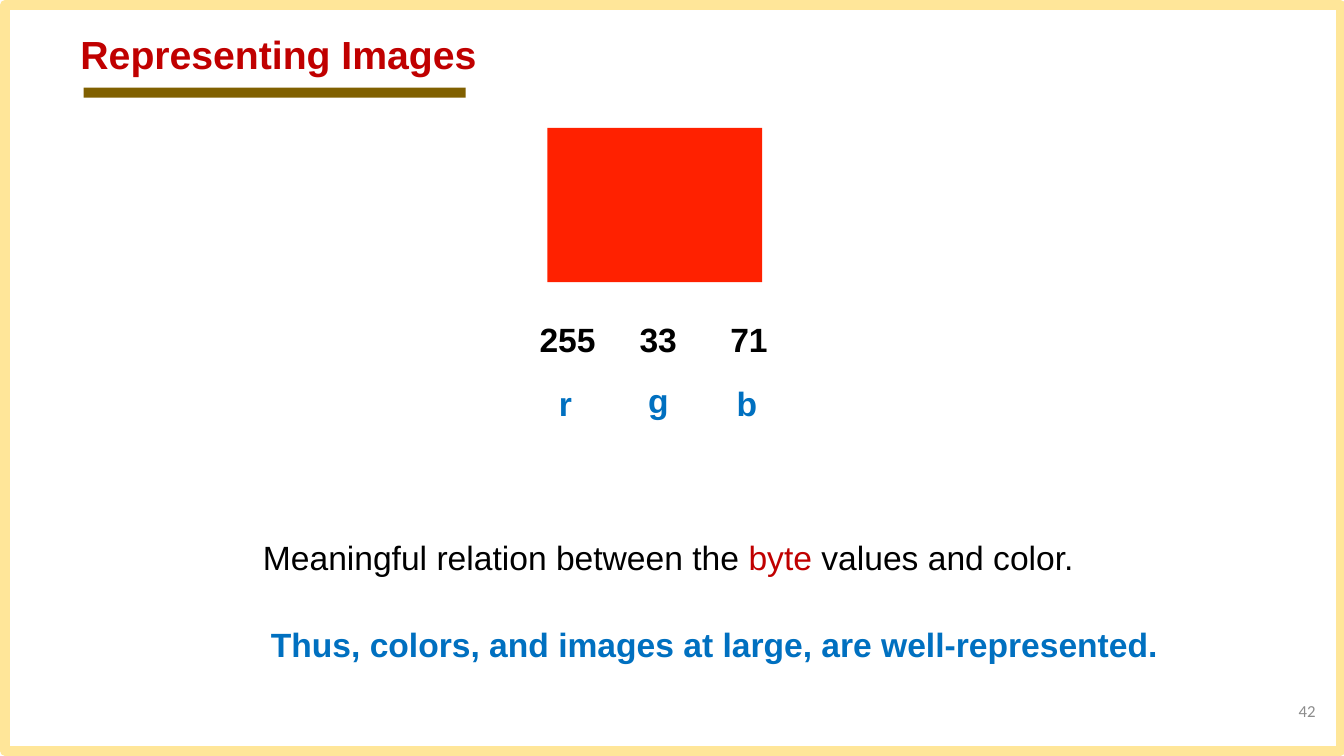
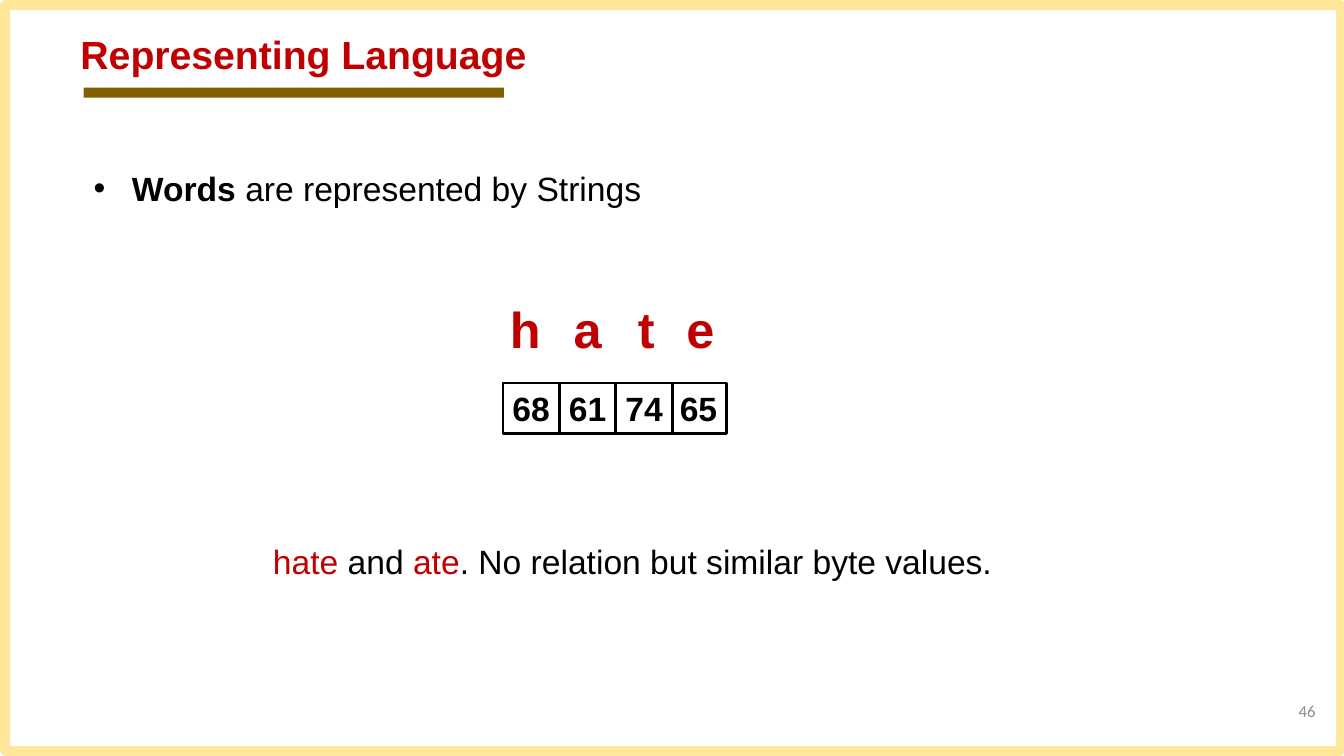
from typing import NamedTuple

from lxml import etree
from pptx import Presentation
from pptx.dml.color import RGBColor
from pptx.enum import shapes, text
from pptx.oxml import ns
from pptx.util import Pt

# Colours
WHITE = RGBColor(0xFF, 0xFF, 0xFF)
BLACK = RGBColor(0x00, 0x00, 0x00)
CREAM = RGBColor(0xFF, 0xE6, 0x99)
OLIVE = RGBColor(0x80, 0x60, 0x00)
RED = RGBColor(0xC0, 0x00, 0x00)
BLUE = RGBColor(0x00, 0x70, 0xC0)
GREY = RGBColor(0x8C, 0x8C, 0x8C)
SWATCH = RGBColor(0xFF, 0x21, 0x00)

# Text formats
BODY = {"name": "Arial", "size": Pt(24), "bold": False}
STRONG = {**BODY, "bold": True}
TITLE = {**STRONG, "size": Pt(28)}
LETTER = {**STRONG, "size": Pt(36)}
PAGE_NUMBER = {"name": "Calibri", "size": Pt(12), "bold": False}

LEFT, CENTER, RIGHT = text.PP_ALIGN.LEFT, text.PP_ALIGN.CENTER, text.PP_ALIGN.RIGHT
MIDDLE = text.MSO_ANCHOR.MIDDLE
BULLET_INDENT = 27.4


class Box(NamedTuple):
    left: float
    top: float
    width: float
    height: float

    def lengths(self) -> list:
        return [Pt(value) for value in self]


class Run(NamedTuple):
    words: str
    color: RGBColor = BLACK
    style: dict = BODY


class Label(NamedTuple):
    box: Box
    runs: list
    align: text.PP_ALIGN = CENTER
    spacing: float = 1.0
    bullet: bool = False


class ByteCell(NamedTuple):
    letter: str
    letter_left: float
    value: str
    left: float


def add_bullet(paragraph) -> None:
    properties = paragraph._p.get_or_add_pPr()
    properties.set("marL", str(Pt(BULLET_INDENT)))
    properties.set("indent", str(-Pt(BULLET_INDENT)))
    etree.SubElement(properties, ns.qn("a:buFont")).set("typeface", "Arial")
    etree.SubElement(properties, ns.qn("a:buChar")).set("char", "•")


def write_runs(paragraph, runs: list) -> None:
    for item in runs:
        run = paragraph.add_run()
        run.text = item.words
        for name, value in item.style.items():
            setattr(run.font, name, value)
        run.font.color.rgb = item.color


def add_label(slide, label: Label):
    shape = slide.shapes.add_textbox(*label.box.lengths())
    shape.text_frame.word_wrap = True
    paragraph = shape.text_frame.paragraphs[0]
    if label.bullet:
        add_bullet(paragraph)
    paragraph.alignment = label.align
    paragraph.line_spacing = label.spacing
    write_runs(paragraph, label.runs)
    return shape


def add_rectangle(slide, box: Box, fill: RGBColor, line: RGBColor | None = None,
                  line_width: float = 0):
    shape = slide.shapes.add_shape(shapes.MSO_SHAPE.RECTANGLE, *box.lengths())
    shape.shadow.inherit = False
    shape.fill.solid()
    shape.fill.fore_color.rgb = fill
    if line is None:
        shape.line.fill.background()
    else:
        shape.line.color.rgb = line
        shape.line.width = Pt(line_width)
    return shape


def add_cell(slide, cell: ByteCell) -> None:
    shape = add_rectangle(slide, Box(cell.left, 273.6, 40.3, 36), WHITE, BLACK, 2)
    frame = shape.text_frame
    for side in ("left", "right", "top", "bottom"):
        setattr(frame, f"margin_{side}", 0)
    frame.vertical_anchor = MIDDLE
    frame.paragraphs[0].alignment = CENTER
    write_runs(frame.paragraphs[0], [Run(cell.value, BLACK, STRONG)])
    add_label(slide, Label(Box(cell.letter_left, 209.5, 40.3, 51),
                           [Run(cell.letter, RED, LETTER)]))


def start_slide(presentation, title: str, rule_width: float, number: int):
    """Add a slide with the shared frame, title, rule and page number."""
    slide = presentation.slides.add_slide(presentation.slide_layouts[6])
    add_rectangle(slide, Box(3.6, 3.6, 954, 532.8), WHITE, CREAM, 7)
    add_label(slide, Label(Box(50.4, 21.6, 680.4, 48.2),
                           [Run(title, RED, TITLE)], LEFT, 0.9))
    add_rectangle(slide, Box(59.8, 62.6, rule_width, 7.2), OLIVE)
    page = add_label(slide, Label(Box(730.8, 493.2, 216, 28.8),
                                  [Run(str(number), GREY, PAGE_NUMBER)], RIGHT))
    page.text_frame.vertical_anchor = MIDDLE
    return slide


def build_images_slide(presentation) -> None:
    slide = start_slide(presentation, "Representing Images", 272.9, 42)
    add_rectangle(slide, Box(391, 91.4, 153.4, 110.2), SWATCH)

    # Channel values above their names
    width, height = 64.8, 36
    channels = [("255", "r", 371.5, 270), ("33", "g", 437.8, 267.8), ("71", "b", 501.1, 270)]
    for index, (value, name, left, top) in enumerate(channels):
        add_label(slide, Label(Box(373 + index * width, 224, width, height),
                               [Run(value, BLACK, STRONG)]))
        add_label(slide, Label(Box(left, top, width, height), [Run(name, BLUE, STRONG)]))

    # Conclusions
    relation = [Run("Meaningful relation between the "), Run("byte", RED),
                Run(" values and color.")]
    add_label(slide, Label(Box(180.7, 365.8, 644.4, 66.2), relation, LEFT, 1.5))
    outcome = "Thus, colors, and images at large, are well-represented."
    add_label(slide, Label(Box(186.5, 427.7, 707.8, 78.5),
                           [Run(outcome, BLUE, STRONG)], LEFT, 1.5))


def build_language_slide(presentation) -> None:
    slide = start_slide(presentation, "Representing Language", 300.2, 46)
    words = [Run("Words ", BLACK, STRONG), Run("are represented by Strings")]
    add_label(slide, Label(Box(59.8, 102.2, 602.6, 62.6), words, LEFT, 1.5, True))

    # Letters above their byte values, the leftmost cell in front
    cells = [
        ByteCell("h", 355, "68", 359.3),
        ByteCell("a", 399.6, "61", 399.6),
        ByteCell("t", 441.4, "74", 439.9),
        ByteCell("e", 480.2, "65", 478.8),
    ]
    for cell in reversed(cells):
        add_cell(slide, cell)

    # Conclusion
    conclusion = [Run("hate", RED), Run(" and "), Run("ate", RED),
                  Run(". No relation but similar byte values.")]
    add_label(slide, Label(Box(150.5, 368.6, 602.6, 62.6), conclusion, CENTER, 1.5))


def main() -> None:
    presentation = Presentation()
    presentation.slide_width, presentation.slide_height = Pt(960), Pt(540)
    build_images_slide(presentation)
    build_language_slide(presentation)
    presentation.save("out.pptx")


if __name__ == "__main__":
    main()
